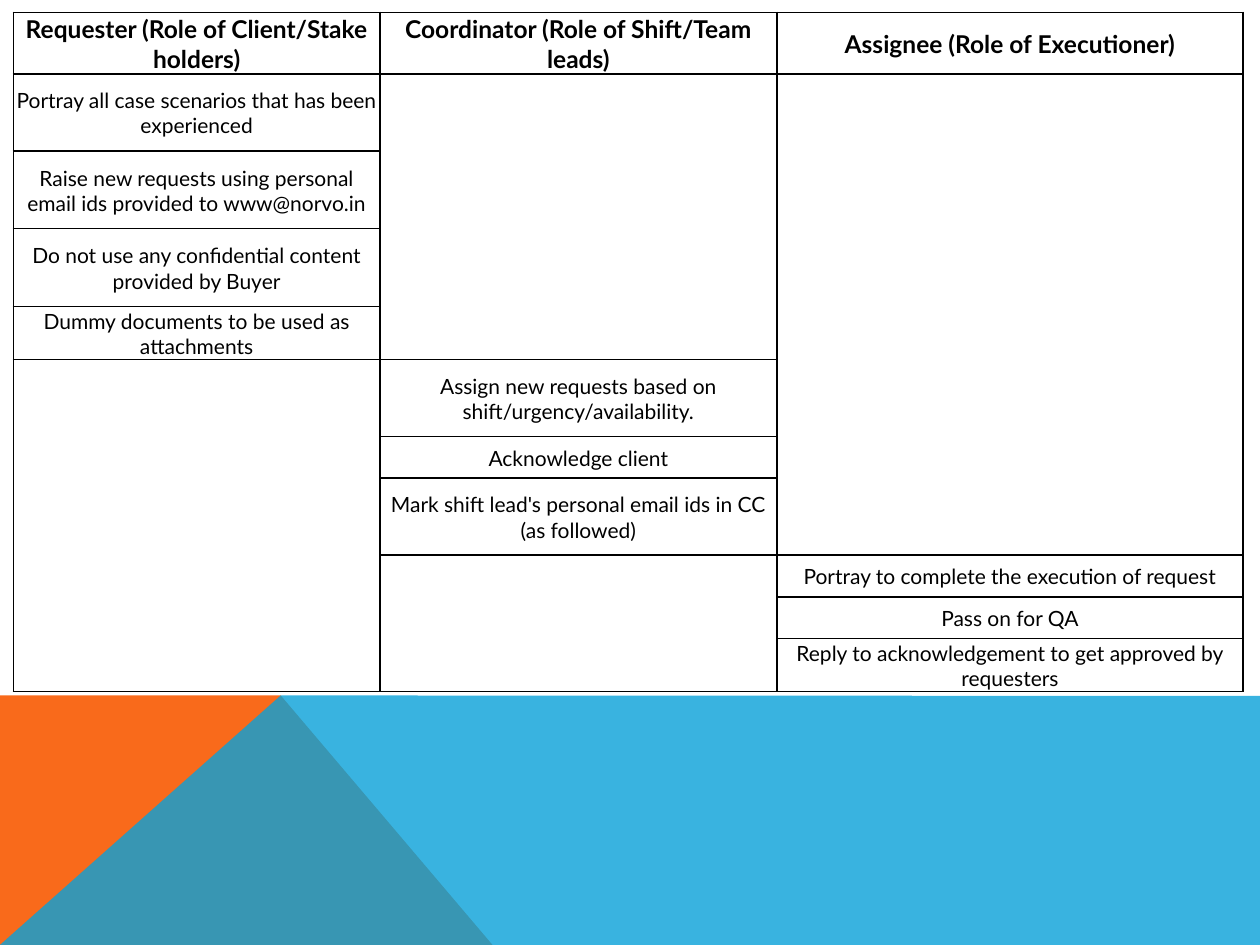
from lxml.etree import SubElement as Sub
from pptx import Presentation
from pptx.dml.color import RGBColor as Rgb
from pptx.enum.text import MSO_ANCHOR as Anchor, PP_ALIGN as Align
from pptx.oxml.ns import qn
from pptx.util import Cm, Pt

BLACK = Rgb(0x00, 0x00, 0x00)
WHITE = Rgb(0xFF, 0xFF, 0xFF)
ORANGE = Rgb(0xF9, 0x6A, 0x1B)
BLUE = Rgb(0x08, 0xA1, 0xD9)

WIDTHS = [7.39, 8, 9.4]
HEIGHTS = [1.24, 1.55, 1.57, 1.57, 1.07, 1.55, 0.84, 1.55, 0.84, 0.84, 1.07]
ROLES = [
    ("Requester (Role of Client/Stake holders)", [
        "Portray all case scenarios that has been experienced",
        "Raise new requests using personal email ids provided to www@norvo.in",
        "Do not use any confidential content provided by Buyer",
        "Dummy documents to be used as attachments"]),
    ("Coordinator (Role of Shift/Team leads)", [
        "Assign new requests based on shift/urgency/availability.",
        "Acknowledge client",
        "Mark shift lead's personal email ids in CC (as followed)"]),
    ("Assignee (Role of Executioner)", [
        "Portray to complete the execution of request",
        "Pass on for QA",
        "Reply to acknowledgement to get approved by requesters"]),
]
HEAD = {"name": "Lato", "size": Pt(14), "bold": True}
BODY = {"name": "Lato", "size": Pt(12), "bold": False}
FRAME = {"margin_left": Cm(0.03), "margin_right": Cm(0.03),
         "margin_top": Cm(0.03), "margin_bottom": 0,
         "vertical_anchor": Anchor.MIDDLE}


def apply(item, form):
    """Set each value of a format dict on an item."""
    for key, value in form.items():
        setattr(item, key, value)


def paint(item, color):
    """Give an item a solid fill."""
    item.fill.solid()
    item.fill.fore_color.rgb = color


def add_shard(slide, points, color, alpha=100):
    """Draw a filled polygon from points in centimetres."""
    spots = [(Cm(x), Cm(y)) for x, y in points]
    pen = slide.shapes.build_freeform(*spots[0])
    pen.add_line_segments(spots[1:], close=True)
    shard = pen.convert_to_shape()
    shard.shadow.inherit = False
    shard.line.fill.background()
    paint(shard, color)
    if alpha < 100:
        tone = shard.fill._xPr.find(".//" + qn("a:srgbClr"))
        Sub(tone, qn("a:alpha"), val=str(alpha * 1000))


def set_cell(cell):
    """Give a cell its margins, black borders and white fill."""
    apply(cell, FRAME)
    props = cell._tc.get_or_add_tcPr()
    for side in ("L", "R", "T", "B"):
        edge = Sub(props, qn("a:ln" + side), w=str(Pt(1)))
        Sub(Sub(edge, qn("a:solidFill")), qn("a:srgbClr"), val=str(BLACK))
    paint(cell, WHITE)


def write(cell, text, form):
    """Put centred black text in a cell."""
    para = cell.text_frame.paragraphs[0]
    para.alignment = Align.CENTER
    run = para.add_run()
    run.text = text
    apply(run.font, form)
    run.font.color.rgb = BLACK


def join(grid, col, top, end):
    """Merge the rows of a column from top up to end."""
    if end - top > 1:
        grid.cell(top, col).merge(grid.cell(end - 1, col))


def add_roles(slide):
    """Build the table whose tasks step down from role to role."""
    count = len(HEIGHTS)
    grid = slide.shapes.add_table(
        count, len(WIDTHS), Cm(0.27), Cm(0.25),
        Cm(sum(WIDTHS)), Cm(sum(HEIGHTS))).table
    grid.horz_banding = False
    for col, width in zip(grid.columns, WIDTHS):
        col.width = Cm(width)
    for row, height in zip(grid.rows, HEIGHTS):
        row.height = Cm(height)
    for cell in grid.iter_cells():
        set_cell(cell)
    start = 1
    for col, (role, tasks) in enumerate(ROLES):
        write(grid.cell(0, col), role, HEAD)
        end = start + len(tasks)
        for row, task in enumerate(tasks, start):
            write(grid.cell(row, col), task, BODY)
        join(grid, col, 1, start)
        join(grid, col, end, count)
        start = end


def main():
    """Build and save the slide."""
    deck = Presentation()
    deck.slide_width, deck.slide_height = Cm(25.4), Cm(19.05)
    slide = deck.slides.add_slide(deck.slide_layouts[6])
    peak, base = (5.66, 14.02), (0, 19.05)
    add_shard(slide, [base, (0, 14.02), peak, (9.93, 19.05)], ORANGE)
    add_shard(slide, [base, peak, (25.4, 14.03), (25.4, 19.05)], BLUE, 80)
    add_roles(slide)
    deck.save("out.pptx")


if __name__ == "__main__":
    main()
